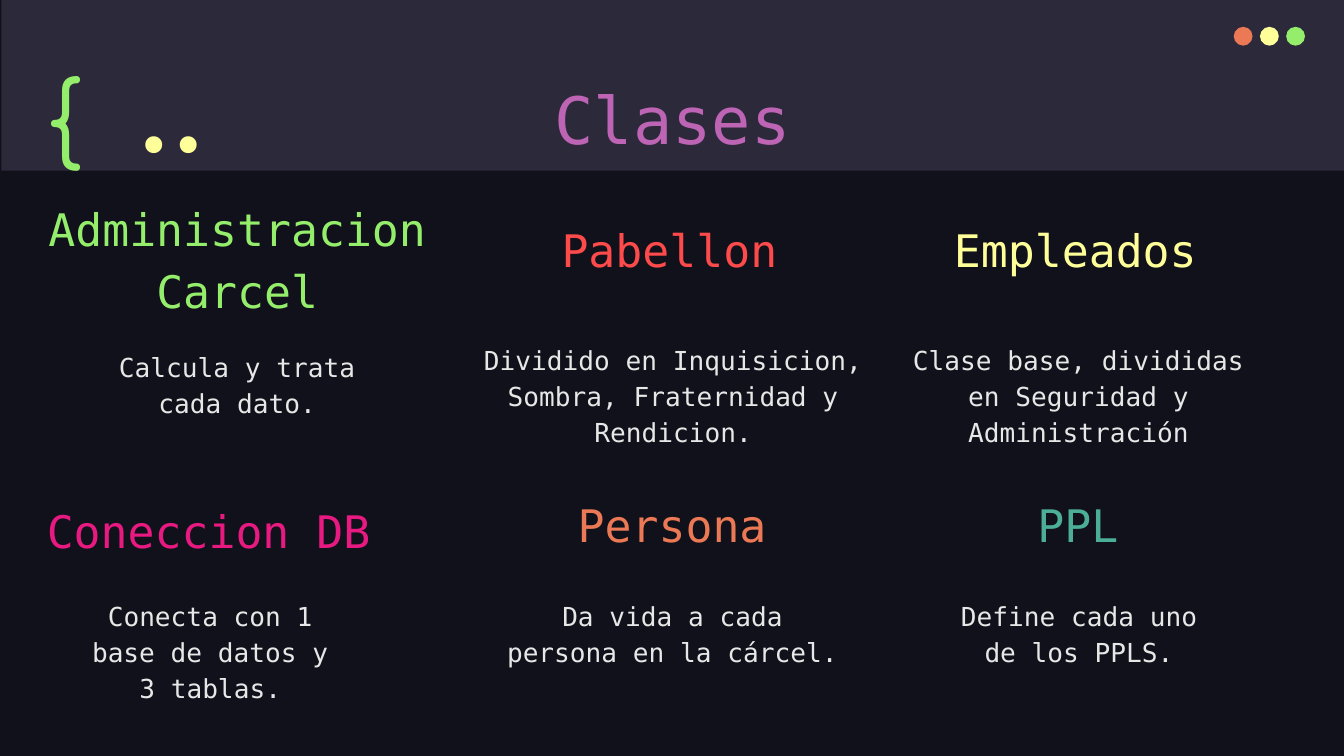
from dataclasses import dataclass

from pptx import Presentation
from pptx import util as u
from pptx.dml.color import RGBColor
from pptx.enum import shapes, text


@dataclass(frozen=True)
class Theme:
    """Colours, fonts and type sizes of the deck."""
    night: str = "10111A"
    band: str = "2C293A"
    pale: str = "E7E7E7"
    purple: str = "BD64B5"
    green: str = "94EE6B"
    red: str = "FD4A4A"
    yellow: str = "FFFF99"
    pink: str = "E81A81"
    orange: str = "EC7955"
    teal: str = "4CAE97"
    mono: str = "DejaVu Sans Mono"
    round: str = "Comfortaa"
    code: str = "Fira Code"
    body: int = 14
    head: int = 24
    title: int = 35
    mark: int = 50


class Page:
    """Draws styled elements on one slide."""

    def __init__(self, slide, theme):
        self.slide = slide
        self.theme = theme
        fill = slide.background.fill
        fill.solid()
        fill.fore_color.rgb = RGBColor.from_string(theme.night)

    def shape(self, kind, box, color):
        item = self.slide.shapes.add_shape(kind, *map(u.Inches, box))
        item.shadow.inherit = False
        item.fill.solid()
        item.fill.fore_color.rgb = RGBColor.from_string(color)
        item.line.fill.background()

    def label(self, words, box, size, color, font=None, align="LEFT",
              anchor="TOP", space=1.0):
        frame = self.slide.shapes.add_textbox(*map(u.Inches, box)).text_frame
        frame.word_wrap = True
        frame.vertical_anchor = text.MSO_ANCHOR[anchor]
        frame.margin_left = frame.margin_right = u.Inches(0.1)
        frame.margin_top = frame.margin_bottom = u.Inches(0.1)
        frame.text = words
        para = frame.paragraphs[0]
        para.alignment = text.PP_ALIGN[align]
        para.line_spacing = space
        style = para.runs[0].font
        style.name = font or self.theme.mono
        style.size = u.Pt(size)
        style.color.rgb = RGBColor.from_string(color)

    def head(self, words, box, color, align="LEFT"):
        self.label(words, box, self.theme.head, color, align=align,
                   anchor="BOTTOM", space=1.15)

    def body(self, words, box):
        self.label(words, box, self.theme.body, self.theme.pale,
                   align="CENTER", space=1.15)


def main():
    deck = Presentation()
    deck.slide_width = u.Inches(10)
    deck.slide_height = deck.slide_width * 9 // 16
    theme = Theme()
    page = Page(deck.slides.add_slide(deck.slide_layouts[6]), theme)
    kind = shapes.MSO_SHAPE

    page.shape(kind.RECTANGLE, (0.01, 0, 10, 1.27), theme.band)
    page.label("Clases", (0.79, 0.49, 8.43, 0.63), theme.title, theme.purple,
               align="CENTER")

    cards = [
        ("Administracion Carcel", (0.15, 1.51, 3.23, 0.95), theme.green, "CENTER",
         "Calcula y trata cada dato.", (0.74, 2.48, 2.05, 0.69)),
        ("Pabellon", (4.08, 1.62, 1.84, 0.54), theme.red, "LEFT",
         "Dividido en Inquisicion, Sombra, Fraternidad y Rendicion.",
         (3.43, 2.43, 3.16, 0.96)),
        ("Empleados", (7, 1.62, 2.06, 0.54), theme.yellow, "LEFT",
         "Clase base, divididas en Seguridad y Administración",
         (6.68, 2.43, 2.69, 0.74)),
        ("Coneccion DB", (0.25, 3.71, 2.63, 0.54), theme.pink, "LEFT",
         "Conecta con 1 base de datos y 3 tablas.", (0.56, 4.33, 2.01, 0.89)),
        ("Persona", (4.2, 3.66, 1.61, 0.54), theme.orange, "LEFT",
         "Da vida a cada persona en la cárcel.", (3.65, 4.33, 2.71, 0.83)),
        ("PPL", (7.62, 3.66, 0.82, 0.54), theme.teal, "LEFT",
         "Define cada uno de los PPLS.", (7.05, 4.33, 1.96, 0.72)),
    ]
    for name, top, color, align, words, low in cards:
        page.head(name, top, color, align)
        page.body(words, low)

    page.label("{", (0.25, 0.32, 0.77, 0.95), theme.mark, theme.green,
               font=theme.round)
    page.label("..", (0.73, 0.56, 1.07, 0.6), theme.mark, theme.yellow,
               font=theme.code, align="RIGHT", anchor="MIDDLE")

    for i, color in enumerate((theme.orange, theme.yellow, theme.green)):
        page.shape(kind.OVAL, (9.18 + 0.39 * i / 2, 0.2, 0.14, 0.14), color)

    deck.save("out.pptx")


if __name__ == "__main__":
    main()
